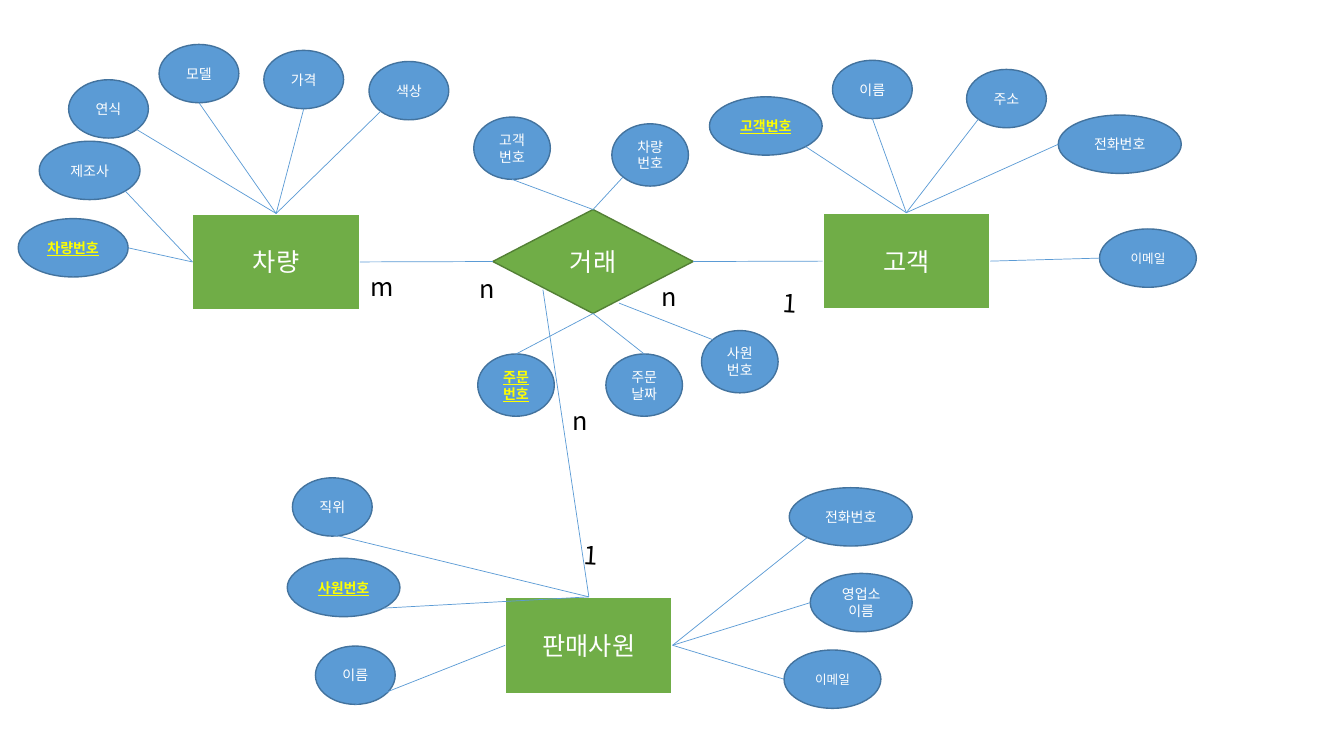
import lxml.etree
import pptx
import pptx.dml.color
import pptx.enum.shapes
import pptx.enum.text
import pptx.oxml.ns
import pptx.util

Cm = pptx.util.Cm
Pt = pptx.util.Pt
qn = pptx.oxml.ns.qn
SHAPES = pptx.enum.shapes.MSO_SHAPE

COLORS = {
    "entity": "70AD47",
    "attribute": "5B9BD5",
    "attribute edge": "43739E",
    "relation edge": "538035",
    "key": "FFFF00",
    "white": "FFFFFF",
    "black": "000000",
}

# Anchor points as fractions of the shape size, measured from its centre
DIAGONAL = 0.3535
SITES = {
    "n": (0, -0.5), "s": (0, 0.5), "w": (-0.5, 0), "e": (0.5, 0),
    "nw": (-DIAGONAL, -DIAGONAL),
    "sw": (-DIAGONAL, DIAGONAL), "se": (DIAGONAL, DIAGONAL),
    "lower left edge": (-0.25, 0.27), "lower right edge": (0.13, 0.4),
}


def color(name):
    return pptx.dml.color.RGBColor.from_string(COLORS[name])


class Diagram:
    """Draws entities, relations, attributes and links on one slide."""

    font = "Noto Sans CJK KR"

    def __init__(self, slide):
        self.shapes = slide.shapes

    def set_text(self, frame, text, size, ink, key=False):
        para = frame.paragraphs[0]
        para.text = text
        font = para.font
        font.name, font.size = self.font, Pt(size)
        font.color.rgb = color(ink)
        if key:
            font.bold = font.underline = True
        # Hangul takes the East Asian typeface
        defaults = para._p.pPr.find(qn("a:defRPr"))
        latin = defaults.find(qn("a:latin"))
        east_asian = lxml.etree.Element(qn("a:ea"), typeface=self.font)
        latin.addnext(east_asian)
        return para

    def node(self, kind, text, left, top, width, height, fill, edge,
             weight, size, key=False):
        shape = self.shapes.add_shape(
            kind, Cm(left), Cm(top), Cm(width), Cm(height))
        shape.shadow.inherit = False
        shape.fill.solid()
        shape.fill.fore_color.rgb = color(fill)
        shape.line.color.rgb = color(edge)
        shape.line.width = Pt(weight)
        frame = shape.text_frame
        frame.word_wrap = True
        frame.vertical_anchor = pptx.enum.text.MSO_ANCHOR.MIDDLE
        para = self.set_text(frame, text, size, "key" if key else "white", key)
        para.alignment = pptx.enum.text.PP_ALIGN.CENTER
        return shape

    def entity(self, text, left, top):
        return self.node(SHAPES.RECTANGLE, text, left, top, 4.22, 2.44,
                         "entity", "white", 1.5, 18)

    def relation(self, text, left, top):
        return self.node(SHAPES.DIAMOND, text, left, top, 5.05, 2.62,
                         "entity", "relation edge", 1, 18)

    def attribute(self, text, left, top, width, height, key):
        size = 9 if text == "이메일" else 10
        return self.node(SHAPES.OVAL, text, left, top, width, height,
                         "attribute", "attribute edge", 1, size, key)

    def point(self, shape, site):
        across, down = SITES[site]
        return (round(shape.left + shape.width * (0.5 + across)),
                round(shape.top + shape.height * (0.5 + down)))

    def link(self, start, start_site, end, end_site):
        line = self.shapes.add_connector(
            pptx.enum.shapes.MSO_CONNECTOR.STRAIGHT,
            *self.point(start, start_site), *self.point(end, end_site))
        line.line.color.rgb = color("attribute")
        line.line.width = Pt(0.5)
        lxml.etree.SubElement(line._element.spPr, qn("a:effectLst"))

    def cardinality(self, text, left, top, width, wrap=True, angle=0):
        box = self.shapes.add_textbox(Cm(left), Cm(top), Cm(width), Cm(1.02))
        box.rotation = angle
        frame = box.text_frame
        frame.word_wrap = wrap
        frame.auto_size = pptx.enum.text.MSO_AUTO_SIZE.SHAPE_TO_FIT_TEXT
        self.set_text(frame, text, 18, "black")


def main():
    deck = pptx.Presentation()
    deck.slide_width, deck.slide_height = Cm(33.87), Cm(19.05)
    diagram = Diagram(deck.slides.add_slide(deck.slide_layouts[6]))

    # Entities and the relation between them
    vehicle = diagram.entity("차량", 4.85, 5.38)
    customer = diagram.entity("고객", 20.73, 5.36)
    seller = diagram.entity("판매사원", 12.73, 15.04)
    trade = diagram.relation("거래", 12.42, 5.28)
    diagram.link(vehicle, "e", trade, "w")
    diagram.link(trade, "e", customer, "w")

    # Owner, its key, oval height, then the attributes:
    # text, left, top, width, own site, owner's site
    small, key_width, mail_width, phone_width = 2.01, 2.84, 2.44, 3.1
    groups = [
        (vehicle, "차량번호", 1.47, [
            ("연식", 1.73, 2.01, small, "se", "n"),
            ("모델", 4.01, 1.12, small, "s", "n"),
            ("가격", 6.65, 1.27, small, "s", "n"),
            ("색상", 9.3, 1.55, small, "sw", "n"),
            ("차량번호", 0.46, 5.51, 2.77, "e", "w"),
            ("제조사", 0.99, 3.56, 2.54, "se", "w"),
        ]),
        (customer, "고객번호", 1.47, [
            ("고객번호", 17.88, 2.44, key_width, "se", "n"),
            ("이름", 20.98, 1.52, small, "s", "n"),
            ("주소", 24.36, 1.75, small, "sw", "n"),
            ("전화번호", 26.67, 2.9, phone_width, "w", "n"),
            ("이메일", 27.71, 5.77, mail_width, "w", "e"),
        ]),
        (seller, "사원번호", 1.47, [
            ("사원번호", 7.24, 14.07, key_width, "se", "n"),
            ("직위", 7.37, 12.04, small, "sw", "n"),
            ("이름", 7.95, 16.28, small, "s", "w"),
            ("전화번호", 19.89, 12.29, phone_width, "sw", "e"),
            ("이메일", 19.76, 16.38, mail_width, "w", "e"),
            ("영업소 이름", 20.42, 14.45, 2.57, "w", "e"),
        ]),
        (trade, "주문번호", 1.57, [
            ("주문번호", 12.04, 8.92, 1.93, "n", "s"),
            ("주문날짜", 15.27, 8.92, 1.93, "n", "s"),
            ("차량번호", 15.42, 3.12, 1.93, "sw", "n"),
            ("고객번호", 11.94, 2.95, 1.93, "s", "n"),
            ("사원번호", 17.68, 8.33, 1.93, "nw", "lower right edge"),
        ]),
    ]
    for owner, key, height, rows in groups:
        for text, left, top, width, site, owner_site in rows:
            oval = diagram.attribute(text, left, top, width, height,
                                     text == key)
            diagram.link(oval, site, owner, owner_site)
    diagram.link(trade, "lower left edge", seller, "n")

    # Cardinalities
    diagram.cardinality("m", 9.09, 6.71, 0.91)
    diagram.cardinality("n", 16.43, 6.96, 0.91)
    for left, top in [(11.84, 6.76), (14.17, 10.08)]:
        diagram.cardinality("n", left, top, 0.89, wrap=False)
    for left, top in [(19.48, 7.14), (14.48, 13.49)]:
        diagram.cardinality("1", left, top, 0.99, angle=3.4)

    deck.save("out.pptx")


if __name__ == "__main__":
    main()
